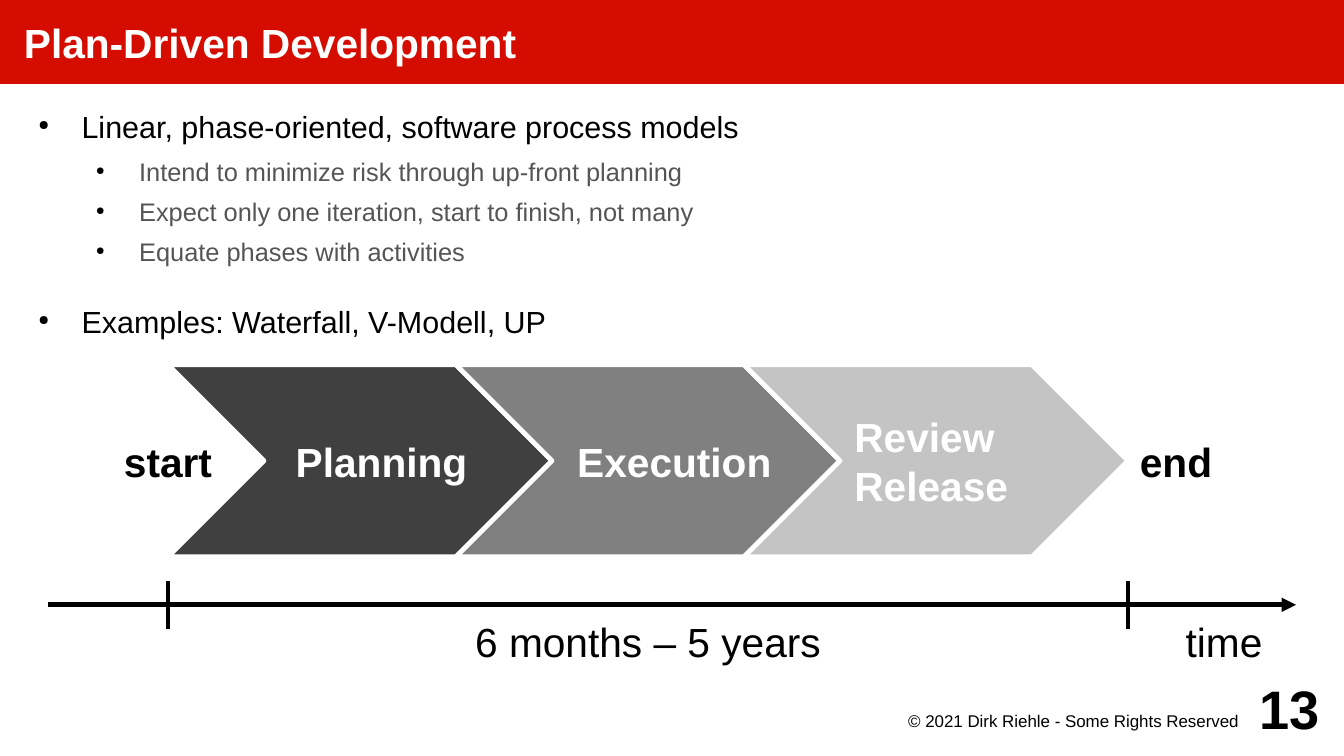
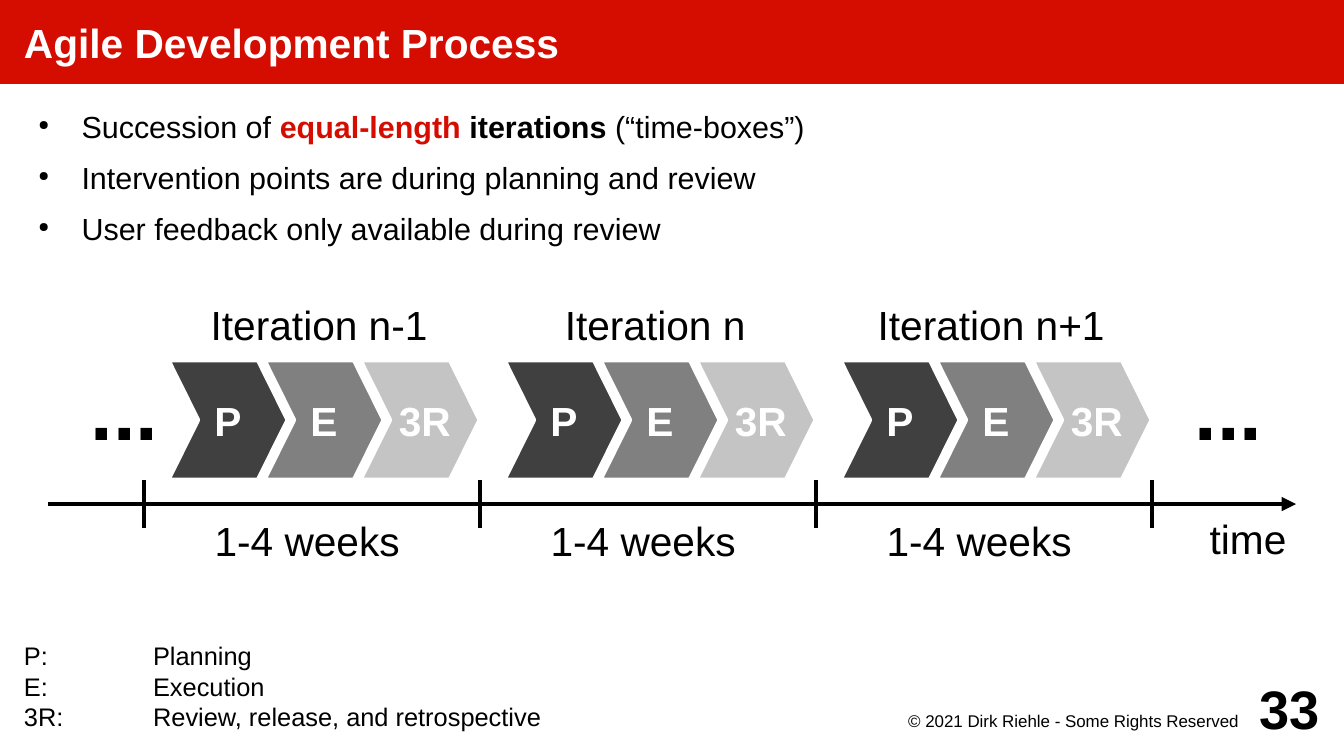
from lxml import etree
from pptx import Presentation
from pptx.dml.color import RGBColor
from pptx.enum.shapes import MSO_CONNECTOR, MSO_SHAPE
from pptx.enum.text import MSO_ANCHOR as Anchor, PP_ALIGN as Align
from pptx.oxml.ns import qn
from pptx.util import Cm, Pt

FONT = "Arial"
RED = RGBColor(0xD5, 0x0D, 0x01)
WHITE = RGBColor(0xFF, 0xFF, 0xFF)
BLACK = RGBColor(0x00, 0x00, 0x00)
DETAIL_GREY = RGBColor(0x55, 0x55, 0x55)
PHASE_COLORS = (
    RGBColor(0x40, 0x40, 0x40),
    RGBColor(0x80, 0x80, 0x80),
    RGBColor(0xC4, 0xC4, 0xC4),
)

SLIDE_WIDTH, SLIDE_HEIGHT = 28, 15.75
TITLE_HEIGHT = 1.75
AXIS_LEFT, AXIS_RIGHT = 1, 27
LINE_WIDTH = Pt(2.83)
PADDING = (0.2, 0.2, 0.2, 0.2)
NO_PADDING = (0, 0, 0, 0)
COPYRIGHT = "© 2021 Dirk Riehle - Some Rights Reserved"

# Per outline level: size, colour, spacing in points
LEVELS = ((18, BLACK, 4.2), (15, DETAIL_GREY, 2.8))


def format_runs(paragraph, size, color, bold=False):
    for run in paragraph.runs:
        run.font.name = FONT
        run.font.size = Pt(size)
        run.font.bold = bold
        run.font.color.rgb = color


def set_frame(shape, padding, anchor, wrap=True):
    """Set insets (left, top, right, bottom in cm), anchor and wrapping."""
    frame = shape.text_frame
    frame.word_wrap = wrap
    frame.vertical_anchor = anchor
    frame.margin_left, frame.margin_top, frame.margin_right, frame.margin_bottom = map(Cm, padding)
    return frame


def add_text(slide, box, text, size=24, bold=False, align=Align.CENTER,
             anchor=Anchor.MIDDLE, padding=PADDING, wrap=True):
    shape = slide.shapes.add_textbox(*map(Cm, box))
    frame = set_frame(shape, padding, anchor, wrap)
    frame.text = text
    for paragraph in frame.paragraphs:
        paragraph.alignment = align
        format_runs(paragraph, size, BLACK, bold)
    return shape


def add_filled_shape(slide, kind, box, fill, text, padding, align, wrap=True):
    """Add a shape with bold white text and no outline."""
    shape = slide.shapes.add_shape(kind, *map(Cm, box))
    shape.shadow.inherit = False
    shape.fill.solid()
    shape.fill.fore_color.rgb = fill
    shape.line.fill.background()
    frame = set_frame(shape, padding, Anchor.MIDDLE, wrap)
    frame.text = text
    frame.paragraphs[0].alignment = align
    format_runs(frame.paragraphs[0], 24, WHITE, bold=True)
    return shape


def add_line(slide, start, end, arrow=False):
    line = slide.shapes.add_connector(MSO_CONNECTOR.STRAIGHT, *map(Cm, start + end))
    line.line.color.rgb = BLACK
    line.line.width = LINE_WIDTH
    if arrow:
        etree.SubElement(line.line._get_or_add_ln(), qn("a:tailEnd"), type="triangle")
    etree.SubElement(line._element.spPr, qn("a:effectLst"))


def add_bullet(paragraph, level):
    properties = paragraph._p.get_or_add_pPr()
    properties.set("marL", str(Cm(1.2 * (level + 1))))
    properties.set("indent", str(Cm(-0.9)))
    color = etree.SubElement(properties, qn("a:buClr"))
    etree.SubElement(color, qn("a:srgbClr"), val=str(BLACK))
    etree.SubElement(properties, qn("a:buSzPct"), val="45000")
    etree.SubElement(properties, qn("a:buChar"), char="●")


def add_outline(slide, box, items):
    """Add bullets from (level, extra space before in points, text) items."""
    shape = slide.shapes.add_textbox(*map(Cm, box))
    frame = set_frame(shape, NO_PADDING, Anchor.TOP)
    for index, (level, gap, text) in enumerate(items):
        size, color, spacing = LEVELS[level]
        paragraph = frame.add_paragraph() if index else frame.paragraphs[0]
        paragraph.level = level
        add_bullet(paragraph, level)
        paragraph.space_before = Pt(spacing + gap if index else 0)
        paragraph.space_after = Pt(spacing)
        paragraph.text = text
        format_runs(paragraph, size, color)
    return frame


def add_base_slide(presentation, title, number):
    """Add a slide with the title band, copyright line and slide number."""
    slide = presentation.slides.add_slide(presentation.slide_layouts[6])
    add_filled_shape(slide, MSO_SHAPE.RECTANGLE, (0, 0, SLIDE_WIDTH, TITLE_HEIGHT),
                     RED, title, (0.5, 0, 0, 0), Align.LEFT)
    add_text(slide, (18, 14.75, 8, 0.75), COPYRIGHT, size=10, align=Align.RIGHT,
             anchor=Anchor.TOP, padding=(0, 0.05, 0.2, 0))
    add_text(slide, (25.5, 14, 2, 1.5), str(number), size=32, bold=True,
             align=Align.RIGHT, padding=NO_PADDING)
    return slide


def add_phases(slide, box, step, notch, phases):
    """Add chevrons from (text, left inset, alignment); box is the first one."""
    left, top, width, height = box
    for index, (text, inset, align) in enumerate(phases):
        chevron = add_filled_shape(
            slide, MSO_SHAPE.CHEVRON, (left + index * step, top, width, height),
            PHASE_COLORS[index], text, (inset, 0, 0, 0), align, wrap=False)
        chevron.adjustments[0] = notch / min(width, height)
        chevron.line.color.rgb = WHITE
        chevron.line.width = LINE_WIDTH


def add_time_axis(slide, y, ticks, label_align, label_anchor):
    add_line(slide, (AXIS_LEFT, y), (AXIS_RIGHT, y), arrow=True)
    for x in ticks:
        add_line(slide, (x, y - 0.5), (x, y + 0.5))
    add_text(slide, (AXIS_RIGHT - 3, y, 3, 1.5), "time",
             align=label_align, anchor=label_anchor)


def add_legend(slide, box, entries):
    text = "\n".join(f"{key}:\t{meaning}" for key, meaning in entries)
    shape = add_text(slide, box, text, size=15, align=Align.LEFT,
                     anchor=Anchor.BOTTOM, padding=(0.5, 0.5, 0.5, 0.5))
    for paragraph in shape.text_frame.paragraphs:
        tabs = etree.SubElement(paragraph._p.get_or_add_pPr(), qn("a:tabLst"))
        etree.SubElement(tabs, qn("a:tab"), pos=str(Cm(2.69)), algn="l")


def build_plan_driven(presentation):
    slide = add_base_slide(presentation, "Plan-Driven Development", 13)
    add_outline(slide, (0.5, 2.25, 27, 6), (
        (0, 0, "Linear, phase-oriented, software process models"),
        (1, 0, "Intend to minimize risk through up-front planning"),
        (1, 0, "Expect only one iteration, start to finish, not many"),
        (1, 0, "Equate phases with activities"),
        (0, 14.3, "Examples: Waterfall, V-Modell, UP"),
    ))
    top, height, axis = 7.6, 4, 12.6
    start, end = 3.5, 23.5
    for x, text in ((start, "start"), (end + 1, "end")):
        add_text(slide, (x - 2.5, top, 5, height), text, bold=True)
    add_phases(slide, (start, top, 8, height), 6, 2, (
        ("Planning", 0.9, Align.CENTER),
        ("Execution", 1.1, Align.CENTER),
        ("Review\vRelease", 0.3, Align.LEFT),
    ))
    add_time_axis(slide, axis, (start, end), Align.CENTER, Anchor.MIDDLE)
    add_text(slide, (start, axis, end - start, 1.5), "6 months – 5 years")


def build_agile(presentation):
    slide = add_base_slide(presentation, "Agile Development Process", 33)
    frame = add_outline(slide, (0.5, 2.25, 27, 3.5), (
        (0, 0, "Succession of "),
        (0, 0, "Intervention points are during planning and review"),
        (0, 0, "User feedback only available during review"),
    ))
    first = frame.paragraphs[0]
    emphasis = (("equal-length ", RED, True), ("iterations ", BLACK, True),
                ("(“time-boxes”)", BLACK, False))
    for text, _, _ in emphasis:
        first.add_run().text = text
    format_runs(first, LEVELS[0][0], BLACK)
    for run, (_, color, bold) in zip(first.runs[1:], emphasis):
        run.font.color.rgb = color
        run.font.bold = bold

    axis, start, length = 10.5, 3, 7
    names = ("Iteration n-1", "Iteration n", "Iteration n+1")
    ticks = [start + index * length for index in range(len(names) + 1)]
    add_time_axis(slide, axis, ticks, Align.RIGHT, Anchor.TOP)
    for left, name in zip(ticks, names):
        add_text(slide, (left + 0.5, 6, 6.5, 1.5), name, padding=(0, 0.2, 0.2, 0.2))
        add_phases(slide, (left + 0.5, 7.5, 2.5, 2.5), 2, 0.62, (
            ("P", 0, Align.CENTER),
            ("E", 0, Align.CENTER),
            ("3R", 0.2, Align.CENTER),
        ))
        add_text(slide, (left, axis, length, 1.5), "1-4 weeks", padding=(0, 0.2, 0.2, 0.2))
    for x in (start - 1.5, ticks[-1] + 0.5):
        add_text(slide, (x, 7, 2, 3), "...", size=48, bold=True,
                 padding=(0.2, 0.2, 0, 0.2), wrap=False)
    add_legend(slide, (0, 11.75, 18, 4), (
        ("P", "Planning"),
        ("E", "Execution"),
        ("3R", "Review, release, and retrospective"),
    ))


def main():
    presentation = Presentation()
    presentation.slide_width = Cm(SLIDE_WIDTH)
    presentation.slide_height = Cm(SLIDE_HEIGHT)
    build_plan_driven(presentation)
    build_agile(presentation)
    presentation.save("out.pptx")


if __name__ == "__main__":
    main()
